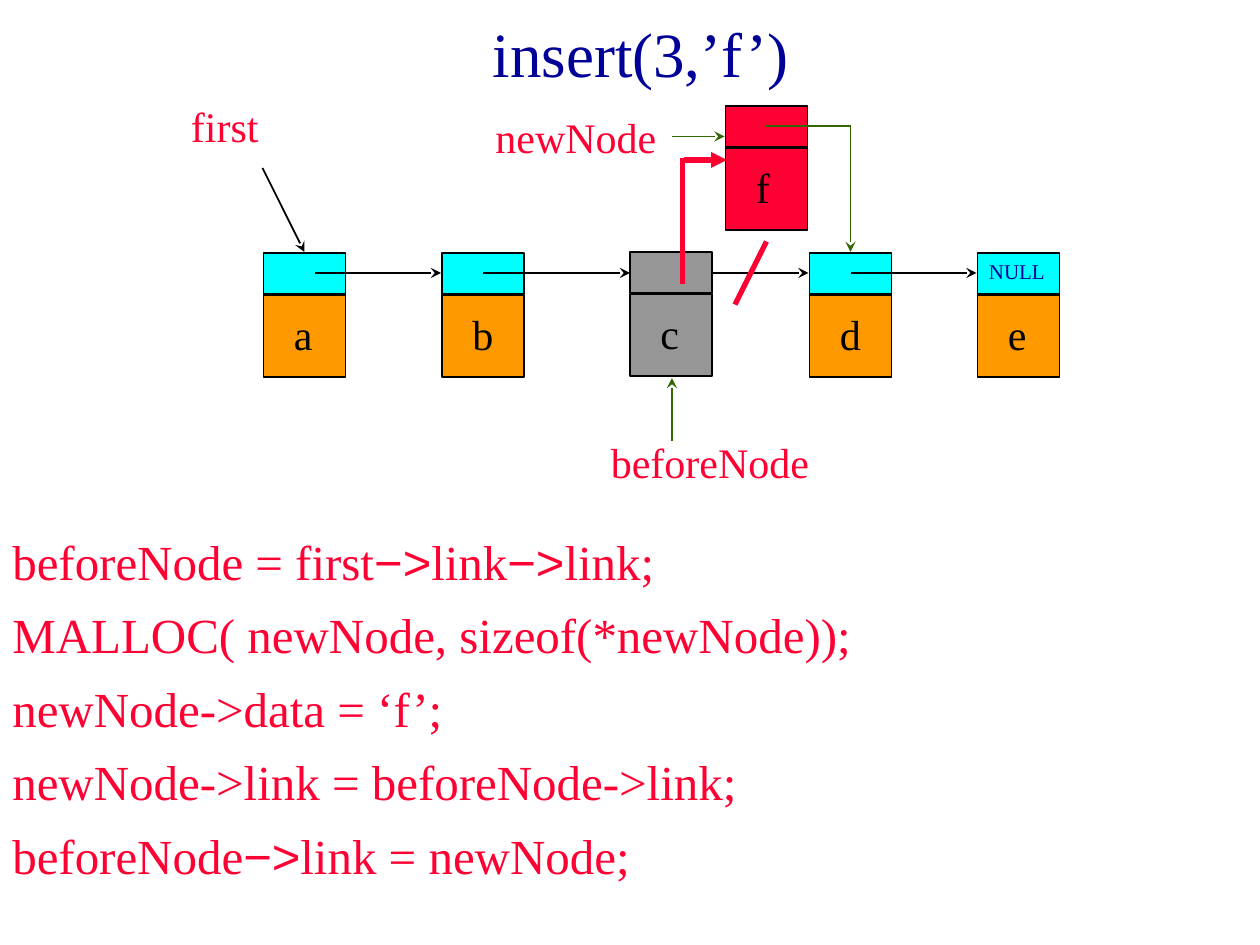
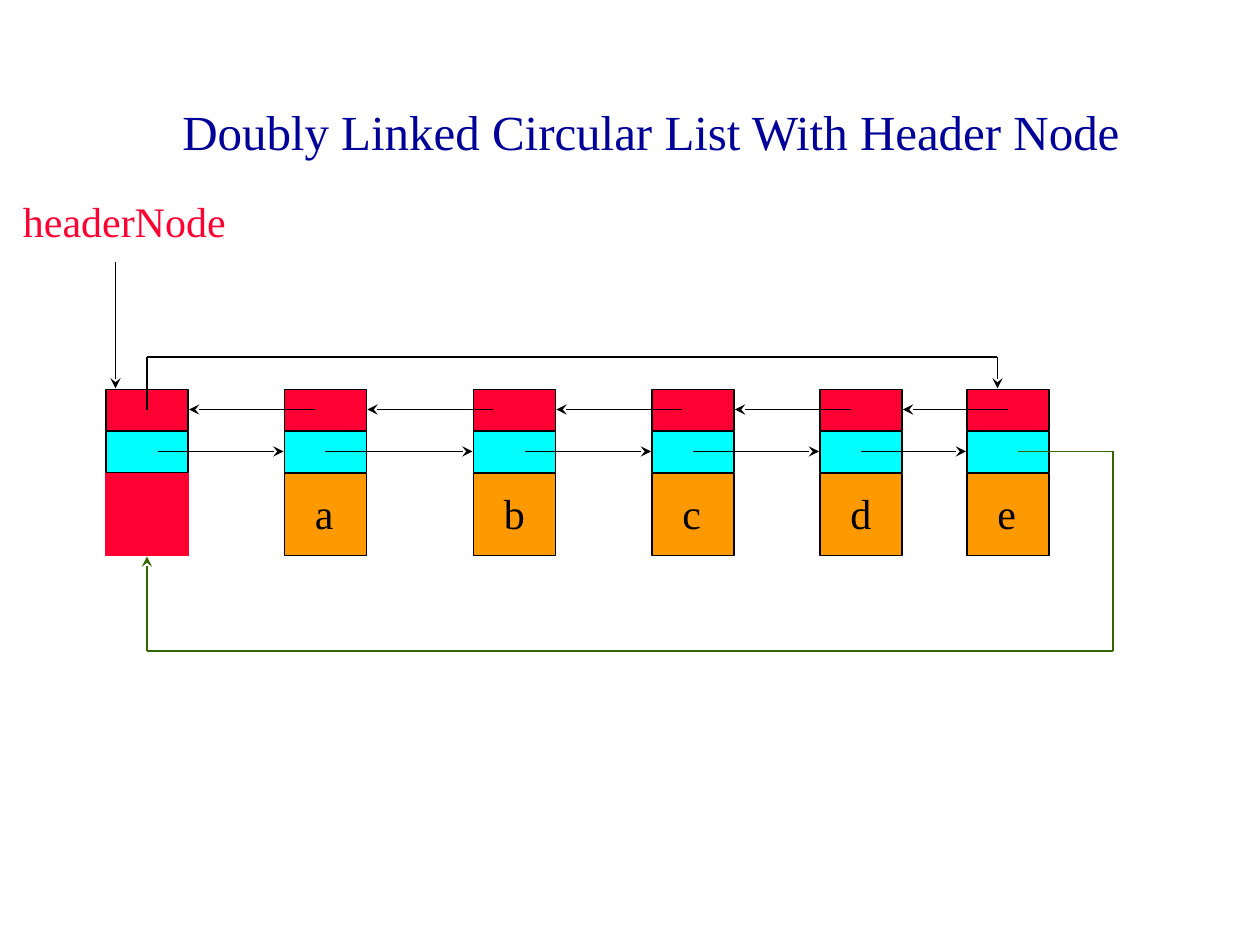
"""Build two slides on inserting into a linked list and on circular lists."""
from dataclasses import dataclass
from itertools import pairwise

from lxml import etree
from pptx import Presentation
from pptx.dml.color import RGBColor
from pptx.enum.shapes import MSO_CONNECTOR, MSO_SHAPE
from pptx.enum.text import MSO_ANCHOR, PP_ALIGN
from pptx.oxml.ns import qn
from pptx.util import Pt

RECT = MSO_SHAPE.RECTANGLE
STRAIGHT = MSO_CONNECTOR.STRAIGHT
CENTER = PP_ALIGN.CENTER
LEFT = PP_ALIGN.LEFT
MIDDLE = MSO_ANCHOR.MIDDLE
TOP = MSO_ANCHOR.TOP


@dataclass(frozen=True)
class Theme:
    serif: str = "Times New Roman"
    sans: str = "Arial"
    navy: str = "000099"
    red: str = "FF0033"
    green: str = "336600"
    black: str = "000000"
    cyan: str = "00FFFF"
    orange: str = "FF9900"
    gray: str = "969696"
    big_title: int = 36
    long_title: int = 28
    code: int = 28
    label: int = 24
    null: int = 12


T = Theme()
POINTER = "−>"
CELL_W, LINK_H, DATA_H, CELL_STEP = 46.8, 23.4, 46.8, 24
LETTER_W = {"b": 26.4, "d": 26.4, "f": 22.4}
PLAIN_LETTER_W = 25.2

INSERT_TITLE = ("insert(3,’f’)", (60, 0, 612, 60), T.big_title)
CODE = [
    ("beforeNode = first", POINTER, "link", POINTER, "link;"),
    ("MALLOC( newNode, sizeof(*newNode));",),
    ("newNode->data = ‘f’;",),
    ("newNode->link = beforeNode->link;",),
    ("beforeNode", POINTER, "link = newNode;"),
]
CHAIN_TOP = 144.6
CHAIN = [("a", 150.6), ("b", 252.6), ("d", 462.6), ("e", 558.6)]
CHAIN_LINKS = [(180, 252), (276, 360), (390, 462), (486, 558)]
BEFORE_NODE = ("c", 360, 144)
NEW_NODE = ("f", 414.6, 60.6)
INSERT_LABELS = [
    ("first", (102, 54, 132, 36)),
    ("newNode", (276, 60, 120, 36)),
    ("beforeNode", (342, 246, 144, 36)),
]
FIRST_ARROW = [(150, 96), (174, 144)]
GREEN_ROUTES = [
    [(438, 72), (486, 72), (486, 144)],
    [(384, 78), (414, 78)],
    [(384, 252), (384, 216)],
]
CUT_LINK = [(438, 138), (420, 174)]
NEW_LINK_RISE = [(390, 162), (390, 90)]
NEW_LINK_ENTRY = [(391, 91.4), (415.4, 91.4)]

RING_TITLE = ("Doubly Linked Circular List With Header Node", (66, 30, 612, 90), T.long_title)
RING_LABEL = ("headerNode", (6, 108, 132, 36))
RING_TOP = 222.6
RING = [("", 60.6), ("a", 162.6), ("b", 270.6), ("c", 372.6), ("d", 468.6), ("e", 552.6)]
NEXT_LINKS = [(90, 162), (186, 270), (300, 372), (396, 468), (492, 552)]
PREVIOUS_LINKS = [(180, 108), (282, 210), (390, 318), (486, 420), (576, 516)]
HEADER_ARROW = [(66, 150), (66, 222)]
HEADER_TO_LAST = [(84, 234), (84, 204), (570, 204), (570, 222)]
LAST_TO_HEADER = [(582, 258), (636, 258), (636, 372), (84, 372), (84, 318)]


def rgb(color):
    return RGBColor.from_string(color)


def add_text(slide, lines, box, size, color, *, align=LEFT, anchor=TOP, wrap=True, before=0):
    frame = slide.shapes.add_textbox(*map(Pt, box)).text_frame
    frame.word_wrap = wrap
    frame.vertical_anchor = anchor
    for i, line in enumerate(lines):
        paragraph = frame.paragraphs[0] if i == 0 else frame.add_paragraph()
        paragraph.alignment = align
        paragraph.space_before = Pt(before)
        for words in line:
            run = paragraph.add_run()
            run.text = words
            run.font.size = Pt(size)
            run.font.name = T.sans if words == POINTER else T.serif
            run.font.color.rgb = rgb(color)


def add_title(slide, title, box, size):
    add_text(slide, [(title,)], box, size, T.navy, align=CENTER, anchor=MIDDLE)


def add_label(slide, label, box):
    add_text(slide, [(label,)], box, T.label, T.red, before=15)


def add_cell(slide, left, top, height, fill, edge=T.black):
    cell = slide.shapes.add_shape(RECT, *map(Pt, (left, top, CELL_W, height)))
    cell.shadow.inherit = False
    cell.fill.solid()
    cell.fill.fore_color.rgb = rgb(fill)
    cell.line.color.rgb = rgb(edge)
    cell.line.width = Pt(1)


def add_node(slide, letter, left, top, links, data, edge=T.black):
    data_top = top + CELL_STEP * len(links)
    add_cell(slide, left, data_top, DATA_H, data, edge)
    for i, fill in enumerate(links):
        add_cell(slide, left, top + CELL_STEP * i, LINK_H, fill)
    if letter:
        width = LETTER_W.get(letter, PLAIN_LETTER_W)
        box = (left + 10.2, data_top + 4.2, width, 36)
        add_text(slide, [(letter,)], box, T.label, T.black, wrap=False)


def add_route(slide, points, color=T.black, width=1, head="stealth"):
    for start, end in pairwise(points):
        leg = slide.shapes.add_connector(STRAIGHT, *map(Pt, start + end))
        leg.line.color.rgb = rgb(color)
        leg.line.width = Pt(width)
        if head and end == points[-1]:
            etree.SubElement(leg.line._get_or_add_ln(), qn("a:tailEnd"), type=head)
        etree.SubElement(leg._element.spPr, qn("a:effectLst"))


def add_links(slide, links, y):
    for start, end in links:
        add_route(slide, [(start, y), (end, y)])


def build_insert(slide):
    add_title(slide, *INSERT_TITLE)
    add_text(slide, CODE, (0, 300, 720, 204), T.code, T.red, before=8.4)
    for letter, left in CHAIN:
        add_node(slide, letter, left, CHAIN_TOP, [T.cyan], T.orange)
    add_links(slide, CHAIN_LINKS, 156)
    add_text(slide, [("NULL",)], (558, 144, 48, 21.6), T.null, T.navy, before=7.5)
    for label, box in INSERT_LABELS:
        add_label(slide, label, box)
    add_route(slide, FIRST_ARROW)
    add_node(slide, *NEW_NODE, [T.red], T.red)
    for route in GREEN_ROUTES:
        add_route(slide, route, T.green)
    add_route(slide, CUT_LINK, T.red, 3, None)
    add_node(slide, *BEFORE_NODE, [T.gray], T.gray)
    add_route(slide, NEW_LINK_RISE, T.red, 3, None)
    add_route(slide, NEW_LINK_ENTRY, T.red, 3, "triangle")


def build_ring(slide):
    add_title(slide, *RING_TITLE)
    add_label(slide, *RING_LABEL)
    for letter, left in RING:
        data, edge = (T.orange, T.black) if letter else (T.red, T.red)
        add_node(slide, letter, left, RING_TOP, [T.red, T.cyan], data, edge)
    add_links(slide, NEXT_LINKS, 258)
    add_links(slide, PREVIOUS_LINKS, 234)
    add_route(slide, HEADER_ARROW)
    add_route(slide, HEADER_TO_LAST)
    add_route(slide, LAST_TO_HEADER, T.green)


def main():
    deck = Presentation()
    deck.slide_width, deck.slide_height = Pt(720), Pt(540)
    for build in (build_insert, build_ring):
        build(deck.slides.add_slide(deck.slide_layouts[6]))
    deck.save("out.pptx")


if __name__ == "__main__":
    main()
